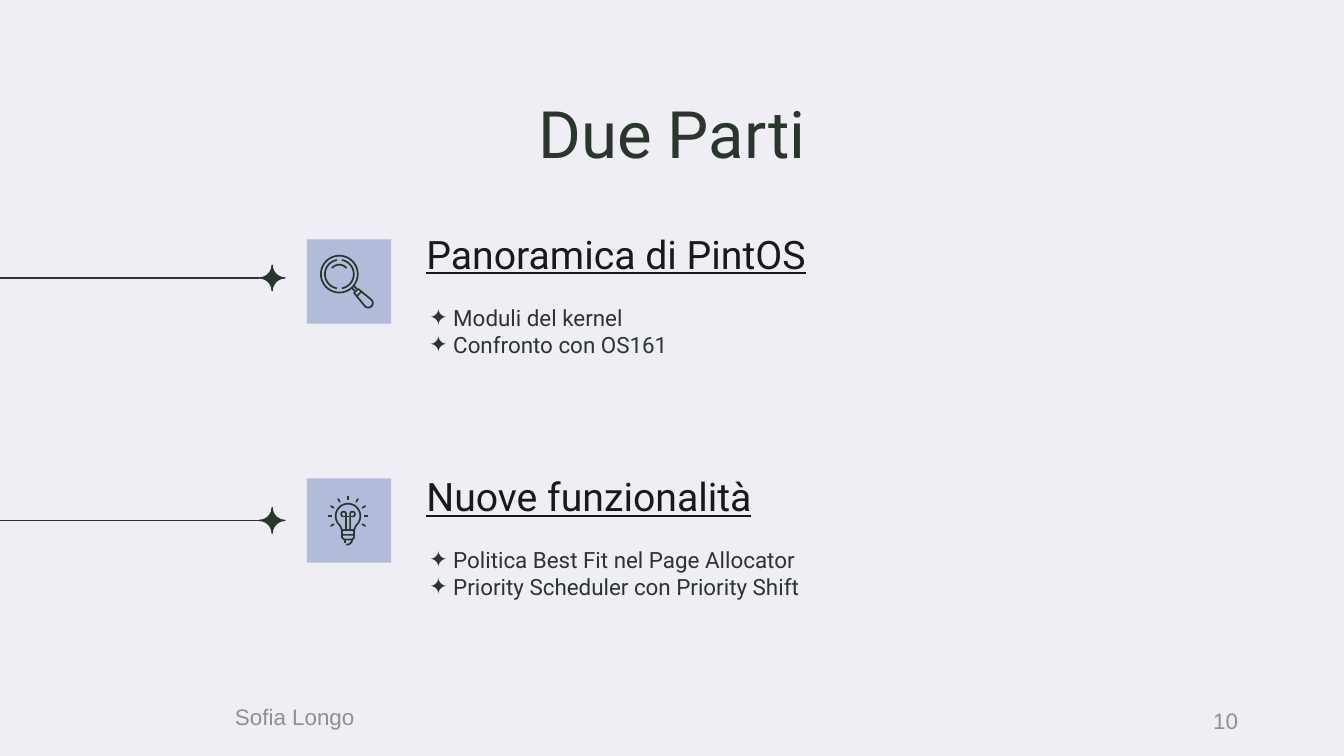
from math import cos, radians, sin

from lxml import etree
from pptx import Presentation
from pptx import util as u
from pptx.dml.color import RGBColor
from pptx.enum import shapes, text
from pptx.oxml import ns

COLOURS = {
    "paper": "EFEEF4",
    "tile": "B2BBDA",
    "ink": "2A362D",
    "heading": "191919",
    "footer": "8E918F",
}


def arc(x, y, radius, start, end, steps=24):
    """Return points along a circular arc, in degrees clockwise from the right."""
    angles = [radians(start + (end - start) * i / steps) for i in range(steps + 1)]
    return [(x + radius * cos(a), y + radius * sin(a)) for a in angles]


def magnifier():
    """Return the curves of the magnifying glass."""
    x, y = 25.25, 20.4
    return [
        arc(x, y, 1.37, 0, 360, 48),
        arc(x, y, 1.07, 100, 260),
        arc(x, y, 1.07, -80, 80),
        arc(x, y, 0.7, 220, 320),
        [(26.35, 21.3), (26.55, 21.5)],
        [(26.2, 21.45), (26.4, 21.65)],
        [(26.35, 21.8), (26.65, 21.5), (26.9, 21.7), (26.55, 22.05), (26.35, 21.8)],
        [(26.9, 21.7), *arc(27.4, 22.55, 0.34, -45, 135), (26.55, 22.05)],
    ]


def light_bulb():
    """Return the curves of the light bulb and its rays."""
    x, y = 25.9, 38.4
    left, right = x - 0.45, x + 0.45
    rays = [arc(x, y, 1.2, a, a, 1)[:1] + arc(x, y, 1.5, a, a, 1)[:1]
            for a in range(150, 391, 30)]
    return rays + [
        [(left, 39.8), (left, 39.45), (left - 0.12, 39.15), *arc(x, y, 0.92, 145, 395),
         (right + 0.12, 39.15), (right, 39.45), (right, 39.8)],
        [(left, 39.45), (right, 39.45)],
        [(left, 39.8), (left, 40), (left + 0.15, 40.15), (right - 0.15, 40.15),
         (right, 40), (right, 39.8), (left, 39.8)],
        [*arc(x - 0.33, 38.25, 0.18, 90, 360), (x - 0.15, 39.45)],
        [*arc(x + 0.33, 38.25, 0.18, 90, -180), (x + 0.15, 39.45)],
        [(x - 0.33, 38.43), (x + 0.33, 38.43)],
        [(x - 0.25, 40.15), (x - 0.25, 40.4)],
        arc(x - 0.08, 40.15, 0.38, 0, 100),
    ]


class Board:
    """Hold the deck, its style and the current slide on a grid of tenths of an inch."""

    def __init__(self, columns, rows):
        """Open a blank slide of the given size."""
        self.deck = Presentation()
        self.deck.slide_width, self.deck.slide_height = self.cells(columns, rows)
        self.page = self.deck.slides.add_slide(self.deck.slide_layouts[6])
        fill = self.page.background.fill
        fill.solid()
        fill.fore_color.rgb = self.colour("paper")

    def cells(self, *counts):
        """Turn grid counts into lengths."""
        return [u.Inches(count / 10) for count in counts]

    def colour(self, name):
        """Look up a colour."""
        return RGBColor.from_string(COLOURS[name])

    def shape(self, kind, area, colour):
        """Draw a filled preset shape."""
        box = self.page.shapes.add_shape(kind, *self.cells(*area))
        box.shadow.inherit = False
        box.fill.solid()
        box.fill.fore_color.rgb = self.colour(colour)
        box.line.fill.background()
        return box

    def words(self, lines, area, size, colour, font="Roboto", align="LEFT",
              anchor="TOP", inset=1, underline=None, bullet=None):
        """Write one paragraph per line."""
        box = self.page.shapes.add_textbox(*self.cells(*area))
        frame = box.text_frame
        frame.word_wrap = True
        frame.vertical_anchor = text.MSO_ANCHOR[anchor]
        frame.margin_left, frame.margin_right = self.cells(1, 1)
        frame.margin_top, frame.margin_bottom = self.cells(inset, inset)
        for number, line in enumerate(lines):
            para = frame.add_paragraph() if number else frame.paragraphs[0]
            para.alignment = text.PP_ALIGN[align]
            if bullet:
                self.bullet(para, bullet, colour, font)
            span = para.add_run()
            span.text = line
            span.font.name = font
            span.font.size = u.Pt(size)
            span.font.underline = underline
            span.font.color.rgb = self.colour(colour)

    def bullet(self, para, mark, colour, font):
        """Give a paragraph a coloured bullet with a hanging indent."""
        props = para._p.get_or_add_pPr()
        props.set("marL", str(u.Inches(0.2)))
        props.set("indent", str(u.Inches(-0.18)))
        tint = etree.SubElement(props, ns.qn("a:buClr"))
        etree.SubElement(tint, ns.qn("a:srgbClr"), val=COLOURS[colour])
        etree.SubElement(props, ns.qn("a:buFont"), typeface=font)
        etree.SubElement(props, ns.qn("a:buChar"), char=mark)

    def pointer(self, row):
        """Draw a line from the left edge that ends in a star."""
        side = 1.9
        star = self.shape(shapes.MSO_SHAPE.PLAQUE, (19.3, row - side / 2, side, side), "ink")
        star.adjustments[0] = 0.5
        line = self.page.shapes.add_connector(
            shapes.MSO_CONNECTOR.STRAIGHT, *self.cells(-4.2, row, 19.3, row))
        line.end_connect(star, 1)
        etree.SubElement(line._element.spPr, ns.qn("a:effectLst"))
        for item in (star, line):
            item.line.color.rgb = self.colour("ink")
            item.line.width = u.Pt(0.75)

    def icon(self, curves):
        """Draw a group of open strokes."""
        group = self.page.shapes.add_group_shape()
        for curve in curves:
            first, *others = [self.cells(*point) for point in curve]
            builder = group.shapes.build_freeform(*first)
            builder.add_line_segments(others, close=False)
            stroke = builder.convert_to_shape()
            stroke.shadow.inherit = False
            stroke.fill.background()
            stroke.line.color.rgb = self.colour("ink")
            stroke.line.width = u.Pt(0.9)

    def section(self, row, tile_row, heading, points, curves):
        """Place a pointer, an icon tile, a heading and its points."""
        self.shape(shapes.MSO_SHAPE.RECTANGLE, (22.83, tile_row, 6.27, 6.27), "tile")
        self.words([heading], (30.74, row, 52.3, 4.9), 21, "heading",
                   anchor="BOTTOM", underline=True)
        self.words(points, (30.74, row + 4.9, 52.3, 6.3), 12, "ink", bullet="✦")
        self.pointer(row + 3.95)
        self.icon(curves)


def main():
    """Build and save the slide."""
    board = Board(100, 56.25)
    board.words(["Due Parti"], (7.85, 5.9, 84.3, 6.3), 35, "ink", align="CENTER")
    board.section(16.73, 17.82, "Panoramica di PintOS",
                  ["Moduli del kernel", "Confronto con OS161"], magnifier())
    board.section(34.77, 35.6, "Nuove funzionalità",
                  ["Politica Best Fit nel Page Allocator",
                   "Priority Scheduler con Priority Shift"], light_bulb())
    footer = {"size": 12, "colour": "footer", "font": "Arial", "anchor": "MIDDLE", "inset": 0.5}
    board.words(["Sofia Longo"], (16.5, 51.85, 22.5, 3), **footer)
    board.words(["10"], (70.6, 52.15, 22.5, 3), align="RIGHT", **footer)
    board.deck.save("out.pptx")


if __name__ == "__main__":
    main()
